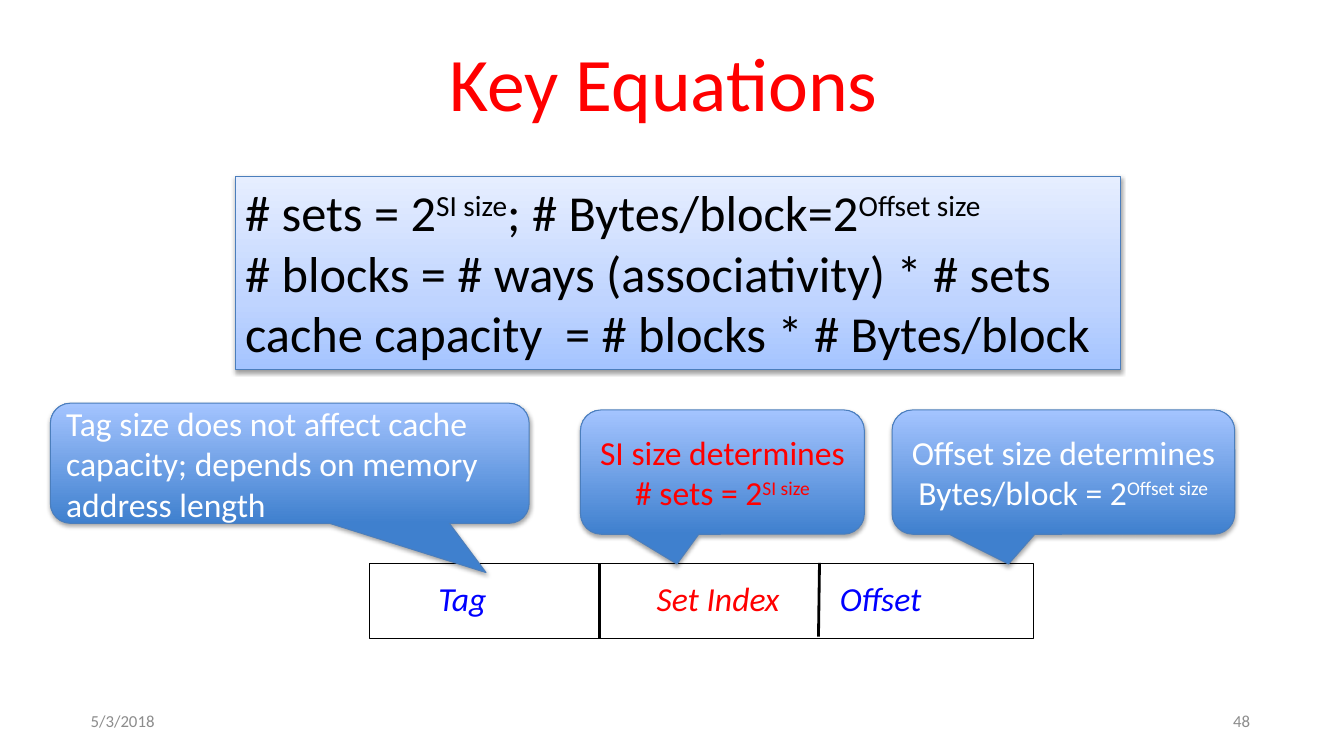
"""Build the Key Equations slide on cache geometry."""
from dataclasses import dataclass
from lxml import etree
from pptx import Presentation
from pptx import util as u
from pptx.dml.color import RGBColor
from pptx.enum import shapes, text
from pptx.oxml import parse_xml
from pptx.oxml.ns import nsdecls, qn


@dataclass(frozen=True)
class Theme:
    font: str = "Calibri"
    red: str = "FF0000"
    blue: str = "0000FF"
    black: str = "000000"
    white: str = "FFFFFF"
    gray: str = "8C8C8C"
    edge: str = "4B7EBC"
    pale: tuple = ((0, "A4C4FF"), (35, "BFD4FF"), (100, "E6EEFF"))
    deep: tuple = ((0, "3F80CE"), (100, "A4C4FF"))
    title: int = 54
    large: int = 36
    body: int = 24
    small: int = 12


T = Theme()
WIDE, HIGH = u.Inches(13.33), u.Inches(7.5)
COLS, ROWS = 160, 90
LEFT, MID, RIGHT = text.PP_ALIGN.LEFT, text.PP_ALIGN.CENTER, text.PP_ALIGN.RIGHT

TITLE = ("Key Equations", (25, 6.5, 108, 6.4))
FOOT = [("5/3/2018", 9.6, LEFT), ("48", 122, RIGHT)]
FIELDS = [("Offset", 98.8, 12.4, T.blue), ("Tag", 51, 8.3, T.blue),
          ("Set Index", 77, 17.2, T.red)]
ADDRESS = (44, 67.1, 79, 8.9)
SPLITS = [(97.56, 67, 97.44, 75.8), (71.4, 67.2, 71.4, 76)]
RULES = ["# sets = 2|SI size|; # Bytes/block=2|Offset size",
         "# blocks = # ways (associativity) * # sets",
         "cache capacity  = # blocks * # Bytes/block"]
RULE_BOX = (28, 21, 105.4, 23)
NOTES = [
    ("SI size determines # sets = 2|SI size", (69.1, 48.8, 33.8, 14.8),
     (-0.16, 0.74), T.red, MID),
    ("Offset size determines Bytes/block = 2|Offset size", (106.2, 48.8, 40.8, 14.8),
     (-0.16, 0.74), T.white, MID),
    ("Tag size does not affect cache capacity; depends on memory address length",
     (6, 48, 57, 14.3), (0.41, 0.91), T.white, LEFT),
]


def place(box):
    """Turn grid columns and rows into slide lengths."""
    return [round(v * (HIGH / ROWS if i % 2 else WIDE / COLS))
            for i, v in enumerate(box)]


def write(shape, lines, size=T.body, color=T.black, align=LEFT, italic=False,
          anchor=text.MSO_ANCHOR.TOP, wrap=True, grow=False):
    """Fill a shape with text; every second piece between bars is raised."""
    frame = shape.text_frame
    frame.word_wrap = wrap
    frame.vertical_anchor = anchor
    if grow:
        frame.auto_size = text.MSO_AUTO_SIZE.SHAPE_TO_FIT_TEXT
    for i, line in enumerate(lines):
        para = frame.add_paragraph() if i else frame.paragraphs[0]
        para.alignment = align
        for j, piece in enumerate(line.split("|")):
            run = para.add_run()
            run.text = piece
            font = run.font
            font.name, font.size, font.italic = T.font, u.Pt(size), italic
            font.color.rgb = RGBColor.from_string(color)
            if j % 2:
                run._r.get_or_add_rPr().set("baseline", "30000")


def label(slide, words, box, **form):
    """Add a text box."""
    write(slide.shapes.add_textbox(*place(box)), [words], **form)


def outline(shape, color, width):
    """Set the line of a shape or connector."""
    shape.line.color.rgb = RGBColor.from_string(color)
    shape.line.width = u.Pt(width)


def panel(slide, kind, box, stops, alpha, drop):
    """Add a shape with an upward gradient and a soft shadow below."""
    shape = slide.shapes.add_shape(kind, *place(box))
    outline(shape, T.edge, 0.75)
    shape.shadow.inherit = False
    props = shape._element.spPr
    marks = "".join(f'<a:gs pos="{at * 1000}"><a:srgbClr val="{color}"/></a:gs>'
                    for at, color in stops)
    props.find(qn("a:prstGeom")).addnext(parse_xml(
        f'<a:gradFill {nsdecls("a")} rotWithShape="1"><a:gsLst>{marks}</a:gsLst>'
        '<a:lin ang="16200000" scaled="0"/></a:gradFill>'))
    props.find(qn("a:effectLst")).append(parse_xml(
        f'<a:outerShdw {nsdecls("a")} blurRad="{u.Pt(3.1)}" dist="{u.Pt(drop)}" '
        f'dir="5400000" rotWithShape="0"><a:srgbClr val="{T.black}">'
        f'<a:alpha val="{alpha * 1000}"/></a:srgbClr></a:outerShdw>'))
    return shape


def main():
    """Draw and save the slide."""
    deck = Presentation()
    deck.slide_width, deck.slide_height = WIDE, HIGH
    slide = deck.slides.add_slide(deck.slide_layouts[6])
    center = text.MSO_ANCHOR.MIDDLE
    auto = shapes.MSO_SHAPE

    words, box = TITLE
    label(slide, words, box, size=T.title, color=T.red, align=MID, anchor=center)

    frame = slide.shapes.add_shape(auto.RECTANGLE, *place(ADDRESS))
    frame.fill.background()
    frame.shadow.inherit = False
    outline(frame, T.black, 0.75)
    for ends in SPLITS:
        split = slide.shapes.add_connector(shapes.MSO_CONNECTOR.STRAIGHT, *place(ends))
        outline(split, T.black, 2)
        etree.SubElement(split._element.spPr, qn("a:effectLst"))

    for words, left, align in FOOT:
        label(slide, words, (left, 83.4, 28, 4.8), size=T.small, color=T.gray,
              align=align, anchor=center)
    for words, left, width, color in FIELDS:
        label(slide, words, (left, 68.2, width, 6), color=color, italic=True,
              wrap=False, grow=True)

    rules = panel(slide, auto.RECTANGLE, RULE_BOX, T.pale, 38, 1.6)
    write(rules, RULES, size=T.large, grow=True)
    for words, box, tip, color, align in NOTES:
        note = panel(slide, auto.ROUNDED_RECTANGULAR_CALLOUT, box, T.deep, 35, 1.8)
        note.adjustments[0], note.adjustments[1] = tip
        write(note, [words], color=color, align=align, anchor=center)

    deck.save("out.pptx")


if __name__ == "__main__":
    main()
